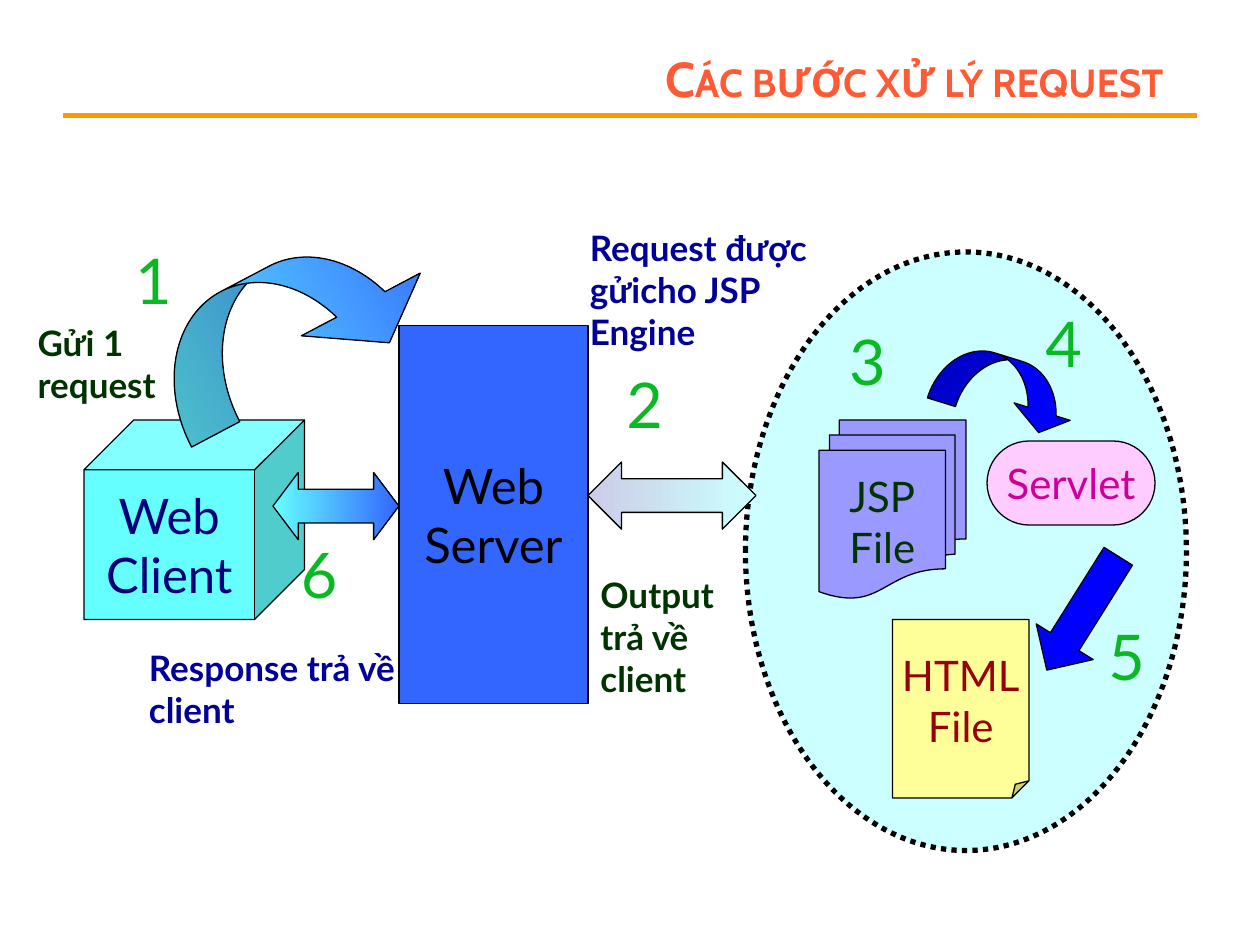
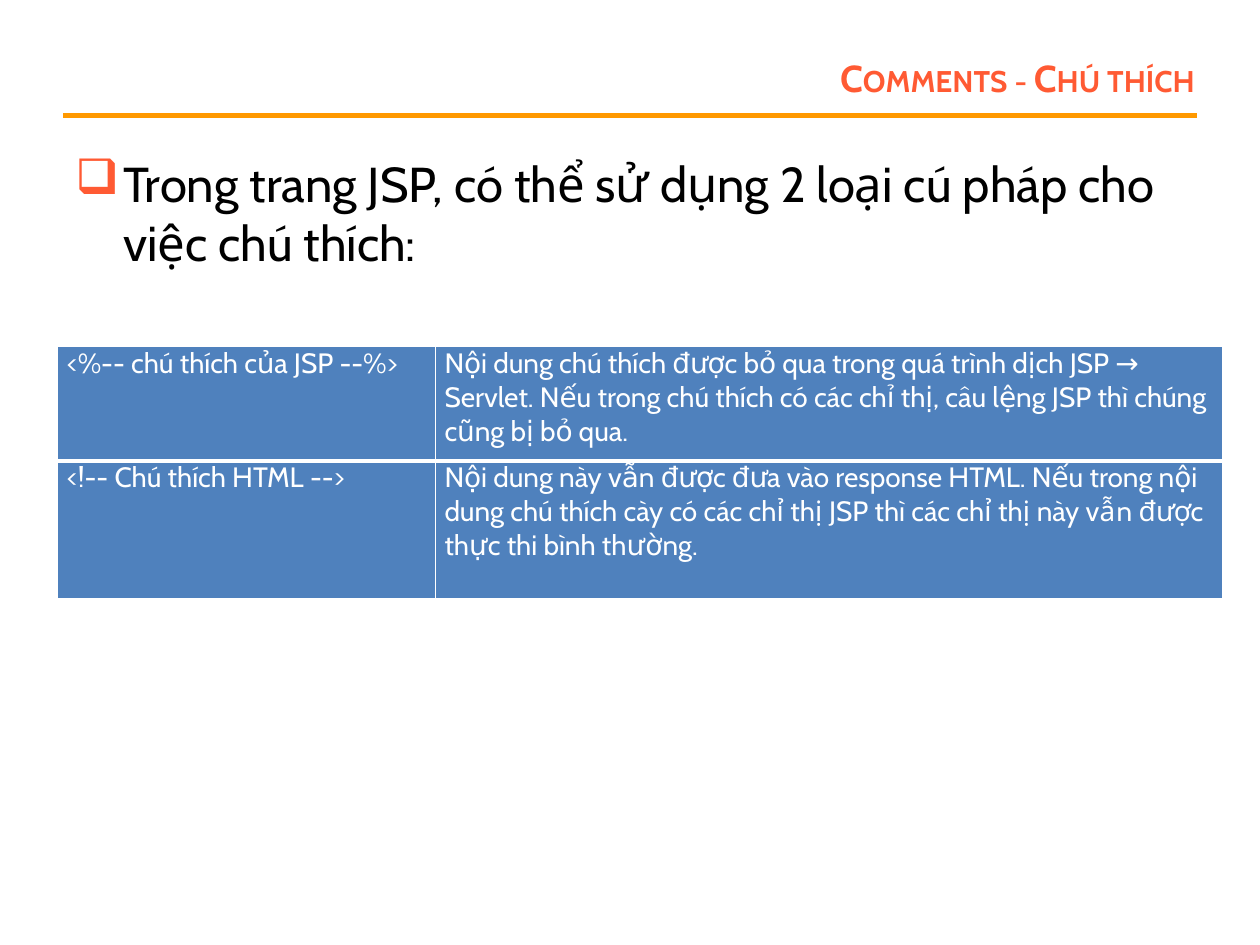
"""Build two slides on handling JSP requests and writing JSP comments."""
from dataclasses import dataclass
from typing import Any

from lxml import etree
from pptx import Presentation
from pptx.dml.color import RGBColor
from pptx.enum.dml import MSO_LINE
from pptx.enum.shapes import MSO_CONNECTOR, MSO_SHAPE
from pptx.enum.text import MSO_ANCHOR, MSO_AUTO_SIZE, PP_ALIGN
from pptx.oxml.ns import qn
from pptx.util import Inches, Pt

CUBE, RECT, OVAL = MSO_SHAPE.CUBE, MSO_SHAPE.RECTANGLE, MSO_SHAPE.OVAL
PAGES, NOTE = MSO_SHAPE.FLOWCHART_MULTIDOCUMENT, MSO_SHAPE.FOLDED_CORNER
PILL, CURVE = MSO_SHAPE.ROUNDED_RECTANGLE, MSO_SHAPE.CURVED_DOWN_ARROW
LEFT_ARROW, BOTH_ARROW = MSO_SHAPE.LEFT_ARROW, MSO_SHAPE.LEFT_RIGHT_ARROW
DOTS, STRAIGHT = MSO_LINE.ROUND_DOT, MSO_CONNECTOR.STRAIGHT
TOP, MIDDLE = MSO_ANCHOR.TOP, MSO_ANCHOR.MIDDLE
LEFT, CENTER, RIGHT = PP_ALIGN.LEFT, PP_ALIGN.CENTER, PP_ALIGN.RIGHT
GROW, FIXED = MSO_AUTO_SIZE.SHAPE_TO_FIT_TEXT, MSO_AUTO_SIZE.NONE

WIDTH, HEIGHT = Inches(10), Inches(7.5)
COLUMNS = 120
UNIT = WIDTH / COLUMNS

COLORS = {
    "title": "FF5A33", "rule": "FF9900", "black": "000000", "white": "FFFFFF",
    "aqua": "66FFFF", "blue": "3366FF", "pale": "CCFFFF", "lilac": "CCCCE6",
    "violet": "9999FF", "pink": "FFCCFF", "yellow": "FFFF99", "arrow": "0000FF",
    "navy": "00007D", "green": "003300", "magenta": "CC0099", "red": "990000",
    "step": "09B922", "note": "000099", "cell": "4F81BD",
}

TITLE_FONT = {"name": "Cabin", "bold": True}
BODY_FONT = {"name": "Cabin", "size": Pt(28)}
CELL_FONT = {"name": "Cabin", "size": Pt(16), "bold": False}
STEP_FONT = {"name": "Lato", "size": Pt(36)}
NOTE_FONT = {"name": "Lato", "size": Pt(20), "bold": True}

Box = tuple[float, float, float, float]


@dataclass(frozen=True)
class Node:
    """A preset shape in grid units, with one fill colour or two for a gradient."""

    kind: Any
    box: Box
    fill: tuple[str, ...]
    text: str = ""
    ink: str = "black"
    size: int = 28
    adj: tuple[float, ...] = ()
    rotation: float = 0
    dotted: bool = False


@dataclass(frozen=True)
class Note:
    """A bold remark beside a step."""

    text: str
    box: Box
    ink: str
    wrap: bool = True


NODES = [
    Node(CUBE, (8, 40, 21, 19), ("aqua",), "Web\nClient", "navy", adj=(0.25,)),
    Node(RECT, (38, 31, 18, 36), ("blue",), "Web\nServer"),
    Node(OVAL, (71, 24, 42, 57), ("pale",), dotted=True),
    Node(PAGES, (78, 40, 14, 17), ("violet",), "JSP\nFile", "green", 24),
    Node(PILL, (94, 42, 16, 8), ("pink",), "Servlet", "magenta", 24, (0.5,)),
    Node(NOTE, (85, 59, 13, 17), ("yellow",), "HTML\nFile", "red", 24, (0.125,)),
    Node(CURVE, (13.9, 25, 27.7, 11.8), ("aqua", "blue"),
         adj=(0.44, 1.085, 0.381), rotation=332.2),
    Node(LEFT_ARROW, (96.7, 55.2, 12.8, 6.4), ("arrow",), adj=(0.5, 0.5), rotation=302.1),
    Node(CURVE, (88.9, 34.1, 13.9, 6), ("arrow",),
         adj=(0.466, 0.932, 0.333), rotation=17.3),
    Node(BOTH_ARROW, (56, 44, 16, 6.4), ("lilac", "pale"), adj=(0.5, 0.5)),
    Node(BOTH_ARROW, (26, 45, 12, 6.4), ("aqua", "blue"), adj=(0.5, 0.376)),
]

STEPS = [(13, 23), (59.8, 34.8), (81, 30.7), (99.7, 29), (105.7, 58.8), (28.8, 51)]

NOTES = [
    Note("Gửi 1\nrequest", (2.4, 30, 15.1, 9.2), "green", False),
    Note("Request được gửicho JSP Engine", (55, 21, 28.2, 13.2), "note"),
    Note("Output trả về client", (56, 54, 17.2, 13.2), "green"),
    Note("Response trả về client", (13, 61, 28.2, 9.2), "note"),
]

COMMENTS = [
    ("<%-- chú thích của JSP --%>",
     "Nội dung chú thích được bỏ qua trong quá trình dịch JSP → Servlet. Nếu trong "
     "chú thích có các chỉ thị, câu lệng JSP thì chúng cũng bị bỏ qua."),
    ("<!-- Chú thích HTML -->",
     "Nội dung này vẫn được đưa vào response HTML. Nếu trong nội dung chú thích cày có "
     "các chỉ thị JSP thì các chỉ thị này vẫn được thực thi bình thường."),
]


def rgb(name: str) -> RGBColor:
    """Look up a named colour."""
    return RGBColor.from_string(COLORS[name])


def grid(*values: float) -> list[int]:
    """Turn grid units into lengths."""
    return [round(v * UNIT) for v in values]


def apply(target: Any, values: dict) -> None:
    """Set each attribute in a dict of format values."""
    for name, value in values.items():
        setattr(target, name, value)


def write(tf: Any, text: str, font: dict, ink: str, align: Any = LEFT) -> None:
    """Write lines of text as paragraphs in one style."""
    tf.text = text
    for p in tf.paragraphs:
        p.alignment = align
        for r in p.runs:
            apply(r.font, font)
            r.font.color.rgb = rgb(ink)


def add_text(s: Any, box: Box, text: str, font: dict, ink: str, align: Any = LEFT,
             **frame: Any) -> Any:
    """Add a text box and return its frame."""
    tf = s.shapes.add_textbox(*grid(*box)).text_frame
    write(tf, text, font, ink, align)
    apply(tf, {"word_wrap": True, "auto_size": FIXED, "vertical_anchor": TOP} | frame)
    return tf


def set_adjustments(sp: Any, values: tuple[float, ...]) -> None:
    """Write a preset shape's guide values, including those the library leaves out."""
    guides = sp._element.spPr.find(qn("a:prstGeom")).find(qn("a:avLst"))
    for guide in list(guides):
        guides.remove(guide)
    for i, value in enumerate(values, 1):
        name = f"adj{i}" if len(values) > 1 else "adj"
        etree.SubElement(guides, qn("a:gd"), name=name, fmla=f"val {round(value * 100000)}")


def add_node(s: Any, node: Node) -> None:
    """Draw one outlined shape with its text."""
    sp = s.shapes.add_shape(node.kind, *grid(*node.box))
    sp.shadow.inherit = False
    sp.rotation = node.rotation
    set_adjustments(sp, node.adj)
    if len(node.fill) == 2:
        sp.fill.gradient()
        sp.fill.gradient_angle = 0
        for stop, color in zip(sp.fill.gradient_stops, node.fill):
            stop.color.rgb = rgb(color)
    else:
        sp.fill.solid()
        sp.fill.fore_color.rgb = rgb(node.fill[0])
    sp.line.color.rgb = rgb("black")
    sp.line.width = Pt(3 if node.dotted else 0.75)
    if node.dotted:
        sp.line.dash_style = DOTS
    if node.text:
        tf = sp.text_frame
        apply(tf, {"word_wrap": False, "vertical_anchor": MIDDLE})
        write(tf, node.text, {"name": "Lato", "size": Pt(node.size)}, node.ink, CENTER)


def add_titled_slide(prs: Any, title: str, size: float, left: float) -> Any:
    """Add a slide with the shared rule and small-caps title."""
    s = prs.slides.add_slide(prs.slide_layouts[6])
    rule = s.shapes.add_connector(STRAIGHT, *grid(6, 11, COLUMNS - 6, 11))
    rule.line.color.rgb = rgb("rule")
    rule.line.width = Pt(3)
    etree.SubElement(rule._element.spPr, qn("a:effectLst"))
    tf = add_text(s, (left, 3.4, 108, 8), title, TITLE_FONT | {"size": Pt(size)},
                  "title", RIGHT, vertical_anchor=MIDDLE)
    tf.paragraphs[0].runs[0]._r.get_or_add_rPr().set("cap", "small")
    return s


def add_bullet(p: Any, mark: str, color: str, indent: float) -> None:
    """Give a paragraph a coloured bullet and a hanging indent."""
    pPr = p._p.get_or_add_pPr()
    pPr.set("marL", str(Inches(indent)))
    pPr.set("indent", str(-Inches(indent)))
    clr = etree.SubElement(pPr, qn("a:buClr"))
    etree.SubElement(clr, qn("a:srgbClr"), val=COLORS[color])
    etree.SubElement(pPr, qn("a:buChar"), char=mark)


def set_borders(cell: Any, widths: dict[str, float]) -> None:
    """Draw white cell borders, ahead of the cell's fill."""
    tcPr = cell._tc.get_or_add_tcPr()
    for i, (side, width) in enumerate(widths.items()):
        ln = etree.Element(qn(f"a:ln{side}"), w=str(Pt(width)))
        fill = etree.SubElement(ln, qn("a:solidFill"))
        etree.SubElement(fill, qn("a:srgbClr"), val=COLORS["white"])
        tcPr.insert(i, ln)


def add_comment_table(s: Any) -> None:
    """Add the table of the two comment syntaxes."""
    table = s.shapes.add_table(2, 2, *grid(5.5, 33, 111, 24)).table
    for column, width in zip(table.columns, grid(36, 75)):
        column.width = width
    for row, height in zip(table.rows, grid(10.9, 13.1)):
        row.height = height
    margins = {"margin_left": Inches(0.07), "margin_right": Inches(0.07),
               "margin_top": 0, "margin_bottom": 0}
    for i, texts in enumerate(COMMENTS):
        for cell, text in zip(table.rows[i].cells, texts):
            apply(cell, margins)
            cell.fill.solid()
            cell.fill.fore_color.rgb = rgb("cell")
            write(cell.text_frame, text, CELL_FONT, "white")
            set_borders(cell, {"L": 1, "R": 1, "T": 3 if i else 1, "B": 1 if i else 3})


def build_request_slide(prs: Any) -> None:
    """Draw the six steps of a request."""
    s = add_titled_slide(prs, "Các bước xử lý request", 28, 4)
    for node in NODES:
        add_node(s, node)
    flush = dict.fromkeys(("margin_left", "margin_right", "margin_top", "margin_bottom"), 0)
    for number, (x, y) in enumerate(STEPS, 1):
        tf = add_text(s, (x, y, 3.2, 7.2), str(number), STEP_FONT, "step", CENTER,
                      word_wrap=False, **flush)
        tf.paragraphs[0].runs[0]._r.get_or_add_rPr().set("spc", "720")
    for note in NOTES:
        add_text(s, note.box, note.text, NOTE_FONT, note.ink,
                 word_wrap=note.wrap, auto_size=GROW)


def build_comment_slide(prs: Any) -> None:
    """Set out the two kinds of comment."""
    s = add_titled_slide(prs, "Comments - Chú thích", 21.4, 7)
    tf = add_text(s, (6, 14, 108, 69), "Trong trang JSP, có thể sử dụng 2 loại cú pháp cho "
                  "việc chú thích:", BODY_FONT, "black")
    add_bullet(tf.paragraphs[0], "❑", "title", 0.38)
    add_comment_table(s)


def main() -> None:
    """Build and save the presentation."""
    prs = Presentation()
    prs.slide_width, prs.slide_height = WIDTH, HEIGHT
    build_request_slide(prs)
    build_comment_slide(prs)
    prs.save("out.pptx")


if __name__ == "__main__":
    main()
